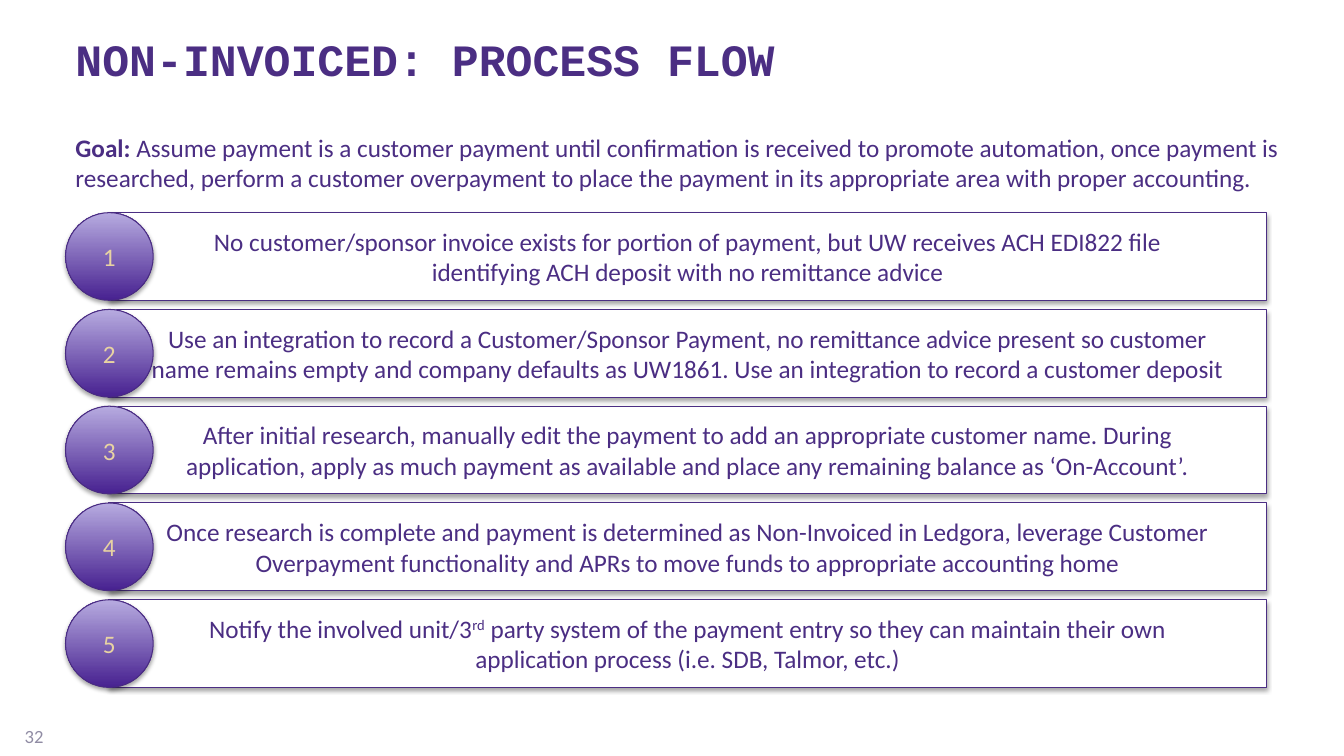
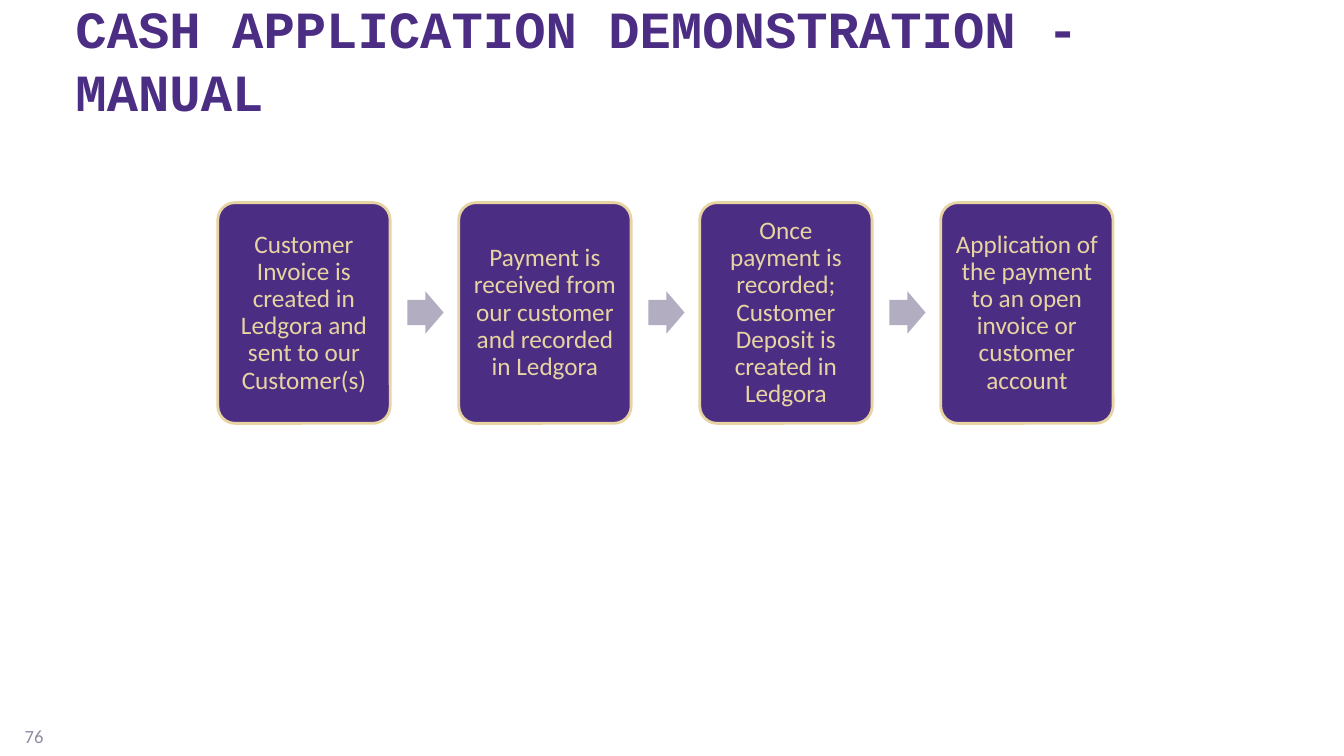
from pptx import Presentation
from pptx.dml.color import RGBColor
from pptx.enum.shapes import MSO_SHAPE as SHAPE
from pptx.enum.text import MSO_ANCHOR as ANCHOR, PP_ALIGN as ALIGN
from pptx.oxml import parse_xml
from pptx.oxml.ns import nsdecls, qn
from pptx.util import Emu, Pt

PX = 9144  # EMU, 100 px to the inch
COLORS = {
    "purple": "4B2E83",
    "gold": "E8D3A2",
    "white": "FFFFFF",
    "muted": "908CA4",
    "arrow": "B2ADC1",
    "badge_line": "492B82",
    "badge_dark": "472190",
    "badge_light": "B7ABE0",
}
SHADOW = (
    f'<a:outerShdw {nsdecls("a")} blurRad="40000" dist="23000" dir="5400000" rotWithShape="0">'
    '<a:srgbClr val="000000"><a:alpha val="35000"/></a:srgbClr></a:outerShdw>'
)


def px(n):
    return Emu(n * PX)


def rgb(name):
    return RGBColor.from_string(COLORS[name])


class Deck:
    BODY, HEAD = "Calibri", "Courier New"

    def __init__(self):
        self.prs = Presentation()
        self.prs.slide_width, self.prs.slide_height = px(1333), px(750)
        self.slide = None

    def new_slide(self, title, number, title_size):
        self.slide = self.prs.slides.add_slide(self.prs.slide_layouts[6])
        self.text(0, 710, 53, 40, [[number]], size=13.3, color="muted",
                  align=ALIGN.RIGHT, anchor=ANCHOR.MIDDLE)
        self.text(65, 27, 1192, 63, [[(title, "bold")]], size=title_size,
                  font=self.HEAD, anchor=ANCHOR.MIDDLE)

    def set_text(self, s, paragraphs, size=18, color="purple", font=BODY, align=ALIGN.LEFT,
                 anchor=ANCHOR.TOP, spacing=None, inset=None):
        """Fill a shape with paragraphs; a run is a string or a (string, style) pair."""
        tf = s.text_frame
        tf.word_wrap = True
        tf.vertical_anchor = anchor
        if inset is not None:
            tf.margin_left = tf.margin_right = px(inset)
            tf.margin_top = tf.margin_bottom = px(inset)
        for i, runs in enumerate(paragraphs):
            p = tf.add_paragraph() if i else tf.paragraphs[0]
            p.alignment = align
            if spacing:
                p.line_spacing = spacing
            for run in runs:
                text, style = run if isinstance(run, tuple) else (run, None)
                r = p.add_run()
                r.text = text
                r.font.name, r.font.size = font, Pt(size)
                r.font.color.rgb = rgb(color)
                r.font.bold = style == "bold"
                if style == "super":
                    r._r.get_or_add_rPr().set("baseline", "30000")

    def text(self, x, y, w, h, paragraphs, **style):
        s = self.slide.shapes.add_textbox(px(x), px(y), px(w), px(h))
        self.set_text(s, paragraphs, **style)

    def shape(self, kind, x, y, w, h, fill, line=None, weight=0.75, shadow=False):
        """Add a preset shape; a pair of fill colours runs from bottom to top."""
        s = self.slide.shapes.add_shape(kind, px(x), px(y), px(w), px(h))
        if isinstance(fill, tuple):
            s.fill.gradient()
            s.fill.gradient_angle = 90
            for stop, name in zip(s.fill.gradient_stops, fill):
                stop.color.rgb = rgb(name)
        else:
            s.fill.solid()
            s.fill.fore_color.rgb = rgb(fill)
        if line:
            s.line.color.rgb = rgb(line)
            s.line.width = Pt(weight)
        else:
            s.line.fill.background()
        s.shadow.inherit = False
        if shadow:
            s.element.spPr.find(qn("a:effectLst")).append(parse_xml(SHADOW))
        return s

    def numbered_bar(self, number, y, paragraphs):
        bar = self.shape(SHAPE.RECTANGLE, 108, y, 1148, 87, "white", "purple", shadow=True)
        self.set_text(bar, paragraphs, align=ALIGN.CENTER, anchor=ANCHOR.MIDDLE)
        badge = self.shape(SHAPE.OVAL, 65, y, 87, 87, ("badge_dark", "badge_light"),
                           "badge_line", shadow=True)
        self.set_text(badge, [[str(number)]], color="gold", align=ALIGN.CENTER,
                      anchor=ANCHOR.MIDDLE)

    def flow_card(self, x, text):
        card = self.shape(SHAPE.ROUNDED_RECTANGLE, x, 201, 171, 219, "purple", "gold", 2)
        card.adjustments[0] = 0.1
        self.set_text(card, [[text]], color="gold", align=ALIGN.CENTER, anchor=ANCHOR.MIDDLE,
                      spacing=0.9, inset=7)

    def flow_arrow(self, x):
        arrow = self.shape(SHAPE.RIGHT_ARROW, x, 289, 36, 42, "arrow")
        arrow.adjustments[0], arrow.adjustments[1] = 0.6, 0.5


STEPS = [
    [["No customer/sponsor invoice exists for portion of payment, but UW receives ACH EDI822 file"],
     ["identifying ACH deposit with no remittance advice"]],
    [["Use an integration to record a Customer/Sponsor Payment, no remittance advice present "
      "so customer"],
     ["name remains empty and company defaults as UW1861. Use an integration to record "
      "a customer deposit"]],
    [["After initial research, manually edit the payment to add an appropriate customer name. "
      "During"],
     ["application, apply as much payment as available and place any remaining balance as "
      "‘On-Account’."]],
    [["Once research is complete and payment is determined as Non-Invoiced in Ledgora, leverage "
      "Customer Overpayment functionality and APRs to move funds to appropriate accounting home"]],
    [["Notify the involved unit/3", ("rd", "super"),
      " party system of the payment entry so they can maintain their own"],
     ["application process (i.e. SDB, Talmor, etc.)"]],
]
CARDS = [
    "Customer Invoice is created in Ledgora and sent to our Customer(s)",
    "Payment is received from our customer and recorded in Ledgora",
    "Once payment is recorded; Customer Deposit is created in Ledgora",
    "Application of the payment to an open invoice or customer account",
]


def process_flow(deck):
    deck.new_slide("NON-INVOICED: PROCESS FLOW", "32", 32)
    deck.text(65, 126, 1217, 71, [[
        ("Goal: ", "bold"),
        "Assume payment is a customer payment until confirmation is received to promote "
        "automation, once payment is researched, perform a customer overpayment to place the "
        "payment in its appropriate area with proper accounting."]])
    for i, paragraphs in enumerate(STEPS):
        deck.numbered_bar(i + 1, 211 + 96 * i, paragraphs)


def cash_application(deck):
    deck.new_slide("CASH APPLICATION DEMONSTRATION - MANUAL", "76", 37.3)
    for i, text in enumerate(CARDS):
        x = 216 + 239 * i
        if i:
            deck.flow_arrow(x - 51)
        deck.flow_card(x, text)


def main():
    deck = Deck()
    process_flow(deck)
    cash_application(deck)
    deck.prs.save("out.pptx")


if __name__ == "__main__":
    main()
